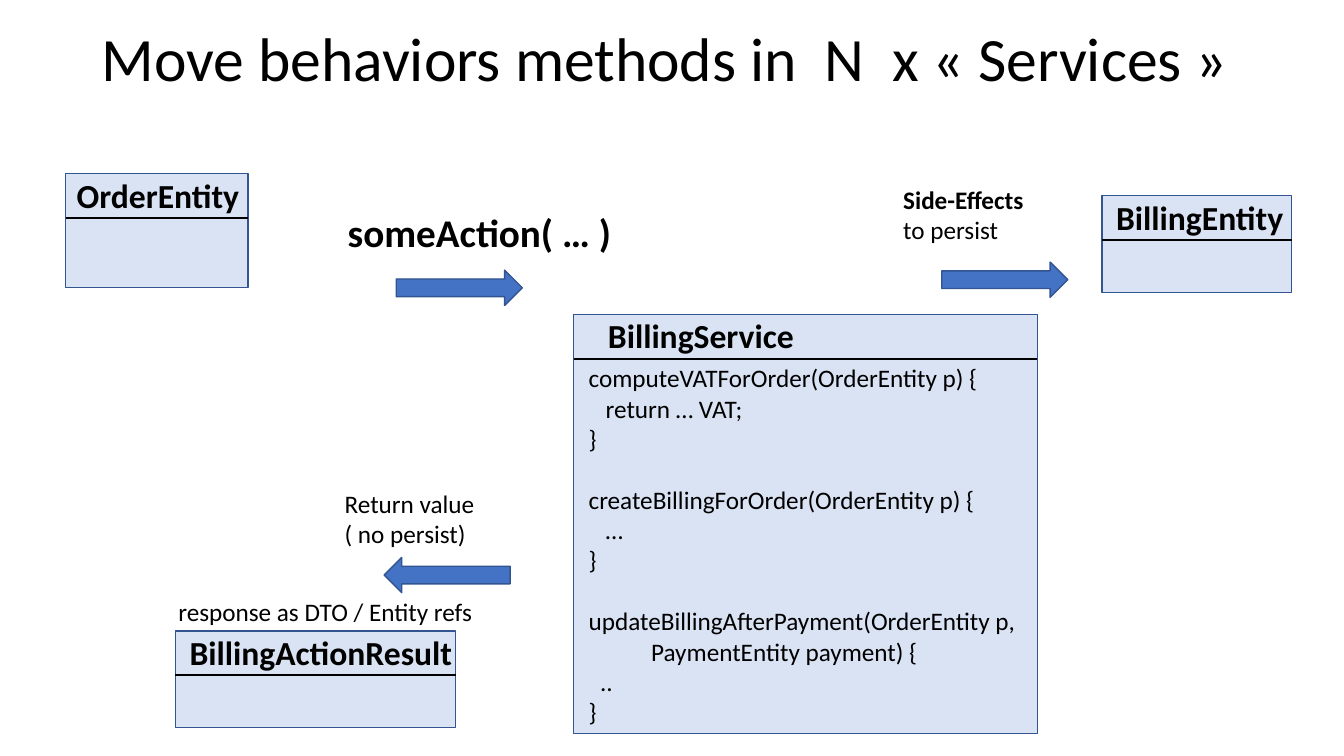
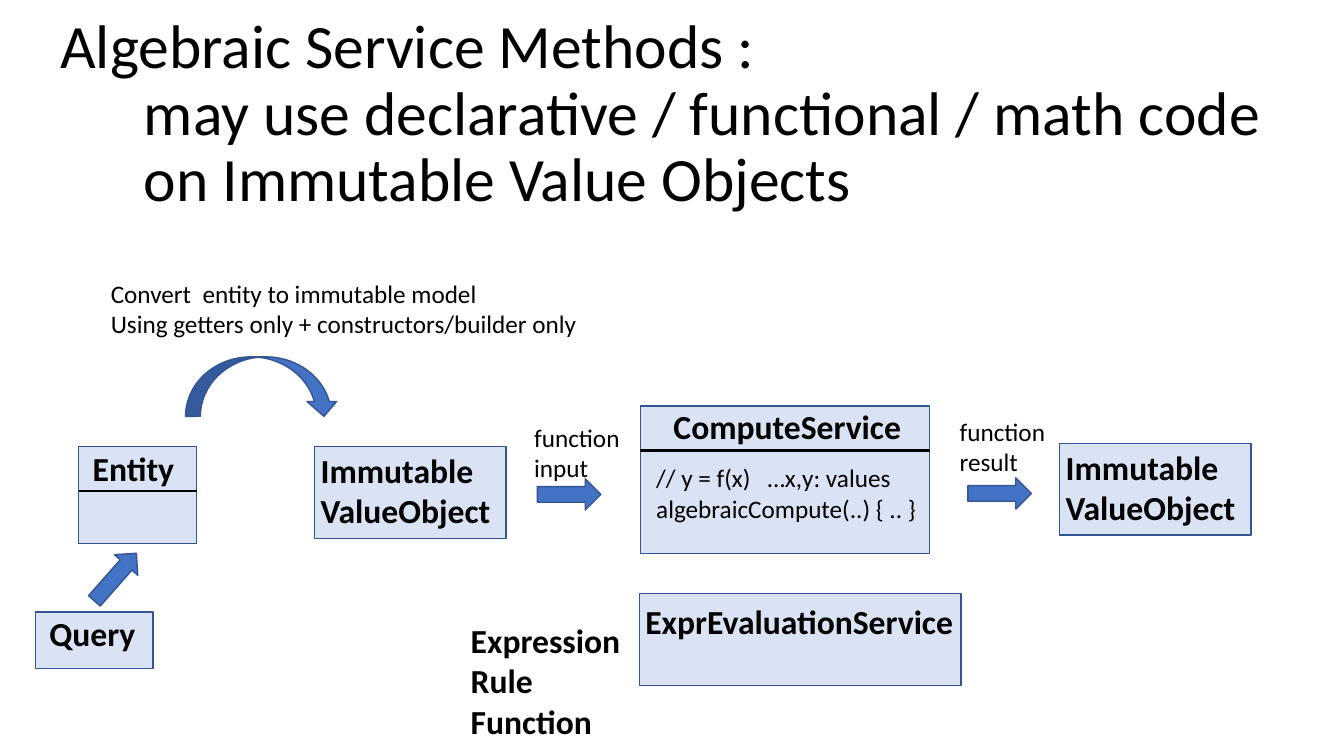
from pptx import Presentation
from pptx.dml.color import RGBColor
from pptx.enum.shapes import MSO_CONNECTOR, MSO_SHAPE
from pptx.enum.text import MSO_ANCHOR, PP_ALIGN
from pptx.oxml.ns import qn
from pptx.util import Emu, Pt
from lxml import etree

BLACK = RGBColor(0x00, 0x00, 0x00)
PALE_BLUE = RGBColor(0xDA, 0xE3, 0xF3)
BLUE = RGBColor(0x44, 0x72, 0xC4)
DARK_BLUE = RGBColor(0x32, 0x54, 0x91)

RECT = MSO_SHAPE.RECTANGLE
RIGHT = MSO_SHAPE.RIGHT_ARROW
LEFT = MSO_SHAPE.LEFT_ARROW
CURVED = MSO_SHAPE.CURVED_DOWN_ARROW
STRAIGHT = MSO_CONNECTOR.STRAIGHT
TOP, MIDDLE = MSO_ANCHOR.TOP, MSO_ANCHOR.MIDDLE
ALIGN_LEFT = PP_ALIGN.LEFT

FONT = "Calibri"
TITLE_SIZE, ACTION_SIZE, NAME_SIZE, NOTE_SIZE = 44, 28, 24, 18
BLANK_LINE = 22  # points, one line of note text
HEADER = 44
INSET_X, INSET_Y = 10, 5


def px(n):
    """100 px to the inch, as EMU."""
    return Emu(n * 9144)


class Deck:
    def __init__(self):
        self.prs = Presentation()
        self.prs.slide_width, self.prs.slide_height = px(1333), px(750)
        self.s = None

    def slide(self):
        self.s = self.prs.slides.add_slide(self.prs.slide_layouts[6])

    def set_text(self, sp, lines, size, bold=False, inset=(INSET_X, INSET_Y), anchor=TOP):
        tf = sp.text_frame
        tf.word_wrap = True
        tf.vertical_anchor = anchor
        tf.margin_left, tf.margin_top = px(inset[0]), px(inset[1])
        tf.margin_right, tf.margin_bottom = px(0), px(INSET_Y)
        for i, line in enumerate(lines):
            p = tf.paragraphs[0] if i == 0 else tf.add_paragraph()
            p.alignment = ALIGN_LEFT
            r = p.add_run()
            r.text = line
            r.font.name, r.font.size, r.font.bold = FONT, Pt(size), bold
            r.font.color.rgb = BLACK
        return tf

    def label(self, x, y, w, h, lines, size=NOTE_SIZE, bold=False, anchor=TOP):
        sp = self.s.shapes.add_textbox(px(x), px(y), px(w), px(h))
        return self.set_text(sp, lines, size, bold, anchor=anchor)

    def title(self, x, y, w, h, lines, indent=0):
        """Title whose lines after the first are indented."""
        tf = self.label(x, y, w, h, lines, TITLE_SIZE, anchor=MIDDLE)
        for i, p in enumerate(tf.paragraphs):
            p.line_spacing = 0.9
            if i:
                p._p.get_or_add_pPr().set("marL", str(px(indent)))

    def listing(self, x, y, w, h, blocks):
        """Blocks of code lines, one blank line apart."""
        tf = self.label(x, y, w, h, [line for block in blocks for line in block])
        start = 0
        for block in blocks[:-1]:
            start += len(block)
            tf.paragraphs[start].space_before = Pt(BLANK_LINE)

    def shape(self, kind, x, y, w, h, fill):
        sp = self.s.shapes.add_shape(kind, px(x), px(y), px(w), px(h))
        sp.shadow.inherit = False
        sp.fill.solid()
        sp.fill.fore_color.rgb = fill
        sp.line.color.rgb = DARK_BLUE
        sp.line.width = Pt(1)
        return sp

    def box(self, x, y, w, h, lines, inset=(14, 1)):
        sp = self.shape(RECT, x, y, w, h, PALE_BLUE)
        self.set_text(sp, lines, NAME_SIZE, True, inset)

    def class_box(self, x, y, w, h, name, inset=(14, 1)):
        """Box with a rule under its name."""
        self.box(x, y, w, h, [name], inset)
        rule = self.s.shapes.add_connector(
            STRAIGHT, px(x), px(y + HEADER), px(x + w), px(y + HEADER))
        rule.line.color.rgb = BLACK
        rule.line.width = Pt(1.5)
        etree.SubElement(rule._element.spPr, qn("a:effectLst"))

    def arrow(self, kind, x, y, w, h, rotation=0):
        self.shape(kind, x, y, w, h, BLUE).rotation = rotation


def services_slide(d):
    d.slide()
    d.title(91, -11, 1210, 145, ["Move behaviors methods in  N  x « Services »"])

    d.class_box(65, 172, 181, 113, "OrderEntity", (11, 2))
    d.class_box(569, 312, 460, 416, "BillingService", (34, 0))
    d.class_box(1093, 194, 188, 96, "BillingEntity")
    d.class_box(174, 626, 278, 96, "BillingActionResult")
    d.listing(574, 355, 454, 374, [
        ["computeVATForOrder(OrderEntity p) {",
         "   return … VAT;",
         "}"],
        ["createBillingForOrder(OrderEntity p) {",
         "   …",
         "}"],
        ["updateBillingAfterPayment(OrderEntity p,",
         "           PaymentEntity payment) {",
         "  ..",
         "}"],
    ])

    for kind, x, y in [(RIGHT, 393, 268), (LEFT, 381, 553), (RIGHT, 934, 260)]:
        d.arrow(kind, x, y, 125, 35)

    d.label(335, 202, 293, 57, ["someAction( … )"], ACTION_SIZE, True)
    tf = d.label(886, 178, 147, 71, ["Side-Effects", "to persist"])
    tf.paragraphs[0].runs[0].font.bold = True
    d.label(332, 479, 161, 71, ["Return value", "( no persist)"])
    d.label(167, 587, 315, 40, ["response as DTO / Entity refs"])


def algebraic_slide(d):
    d.slide()
    d.title(50, -2, 1233, 233, [
        "Algebraic Service Methods :",
        "may use declarative / functional / math code",
        "on Immutable Value Objects",
    ], indent=83)

    d.class_box(78, 443, 117, 96, "Entity")
    d.box(35, 607, 117, 56, ["Query"])
    for x, y in [(312, 443), (1051, 440)]:
        d.box(x, y, 190, 91, ["Immutable", "ValueObject"], (6, 3))
    d.class_box(635, 403, 287, 146, "ComputeService", (33, 0))
    d.listing(641, 454, 281, 71, [["// y = f(x)   …x,y: values", "algebraicCompute(..) { .. }"]])
    d.box(634, 589, 319, 91, ["ExprEvaluationService"], (6, 7))

    d.arrow(CURVED, 184, 354, 152, 59)
    for x, y, rotation in [(533, 475, 0), (960, 474, 0), (83, 557, 311.4)]:
        d.arrow(RIGHT, x, y, 63, 31, rotation)

    d.label(100, 271, 488, 71, ["Convert  entity to immutable model",
                                "Using getters only + constructors/builder only"])
    d.label(520, 414, 106, 71, ["function", "input"])
    d.label(942, 408, 106, 71, ["function", "result"])
    d.label(457, 610, 191, 131, ["Expression", "Rule", "Function"], NAME_SIZE, True)


def main():
    d = Deck()
    services_slide(d)
    algebraic_slide(d)
    d.prs.save("out.pptx")


if __name__ == "__main__":
    main()
